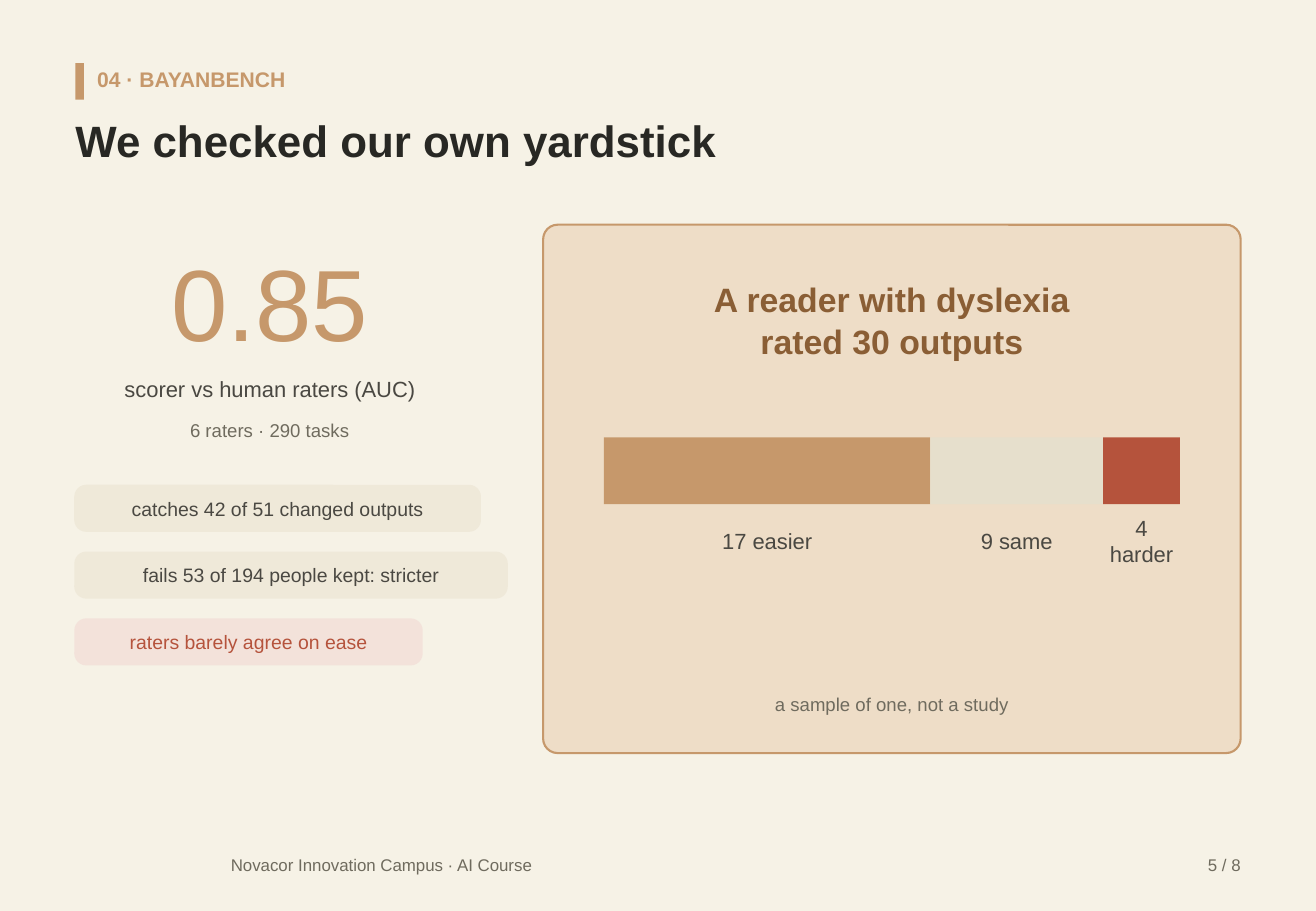
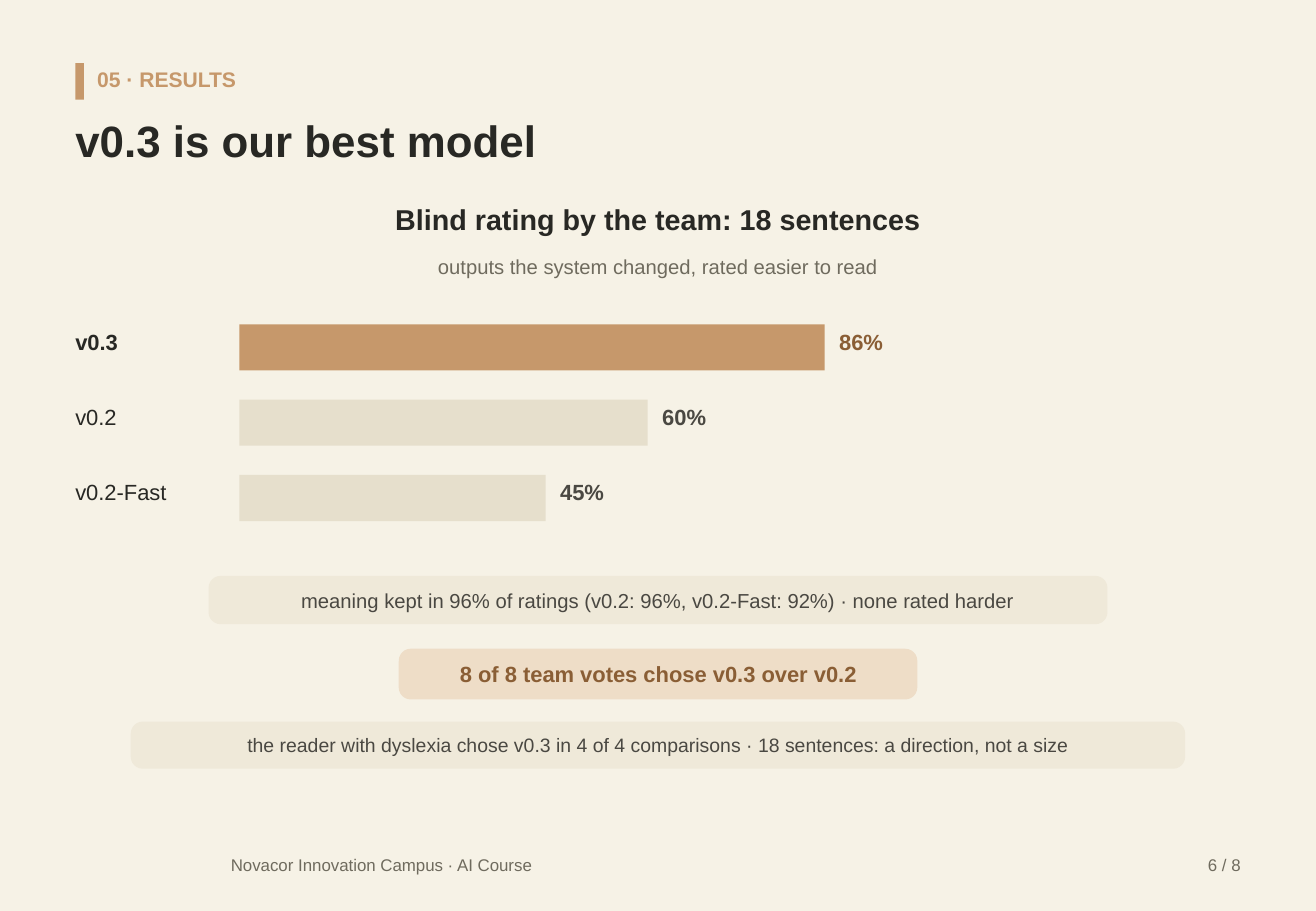
from itertools import accumulate

from pptx import Presentation
from pptx.dml.color import RGBColor
from pptx.enum.shapes import MSO_SHAPE as Shape
from pptx.enum.text import MSO_ANCHOR as Anchor, PP_ALIGN as Align
from pptx.util import Inches, Pt

SLIDE_WIDTH, SLIDE_HEIGHT = 108.3, 75
MARGIN, CONTENT_WIDTH = 6.2, 95.9
PAGE_COUNT = 8

PAPER, CREAM, SAND, STONE = "F6F2E6", "EFE9D9", "EEDDC7", "E6DFCC"
TAN, BROWN, RED, BLUSH = "C6986B", "8A5E35", "B5533C", "F3E2DA"
INK, BODY, MUTED = "282824", "4A4842", "6F6B5E"


def cells(count):
    return Inches(count / 10)


def color(value):
    return RGBColor.from_string(value)


def write(frame, text, size=13, fill=BODY, bold=False, align=Align.LEFT,
          spacing=None, inset=0):
    frame.word_wrap = True
    frame.vertical_anchor = Anchor.MIDDLE
    frame.margin_left = frame.margin_right = cells(inset)
    frame.margin_top = frame.margin_bottom = 0
    frame.text = text
    for paragraph in frame.paragraphs:
        paragraph.alignment = align
        paragraph.line_spacing = spacing
        font = paragraph.font
        font.name, font.size, font.bold = "Arial", Pt(size), bold
        font.color.rgb = color(fill)


class Deck:
    def __init__(self):
        self.presentation = Presentation()
        self.presentation.slide_width = cells(SLIDE_WIDTH)
        self.presentation.slide_height = cells(SLIDE_HEIGHT)
        self.slide = None

    def start(self, number, section, title):
        layout = self.presentation.slide_layouts[6]
        self.slide = self.presentation.slides.add_slide(layout)
        background = self.slide.background.fill
        background.solid()
        background.fore_color.rgb = color(PAPER)
        self.block(MARGIN, 5.2, 0.7, 3, TAN)
        self.text(8, 4.8, 93.9, 3.4, section, size=12.5, fill=TAN, bold=True)
        self.text(MARGIN, 8.8, CONTENT_WIDTH, 5.5, title,
                  size=26, fill=INK, bold=True)
        self.text(19, 69.8, 42, 2.8, "Novacor Innovation Campus · AI Course",
                  size=10, fill=MUTED)
        self.text(92.1, 69.8, 10, 2.8, f"{number} / {PAGE_COUNT}",
                  size=10, fill=MUTED, align=Align.RIGHT)

    def text(self, left, top, width, height, text, **style):
        box = self.slide.shapes.add_textbox(
            cells(left), cells(top), cells(width), cells(height))
        write(box.text_frame, text, **style)

    def block(self, left, top, width, height, fill, kind=Shape.RECTANGLE):
        shape = self.slide.shapes.add_shape(
            kind, cells(left), cells(top), cells(width), cells(height))
        shape.shadow.inherit = False
        shape.fill.solid()
        shape.fill.fore_color.rgb = color(fill)
        shape.line.fill.background()
        return shape

    def card(self, left, top, width, height, fill, line, radius):
        shape = self.block(left, top, width, height, fill,
                           Shape.ROUNDED_RECTANGLE)
        shape.adjustments[0] = radius / height
        shape.line.color.rgb = color(line)
        shape.line.width = Pt(1.25)
        return shape

    def pill(self, left, top, width, height, text, back=CREAM, **style):
        shape = self.card(left, top, width, height, back, back, 0.9)
        write(shape.text_frame, text, align=Align.CENTER, inset=1.2, **style)

    def stacked_bar(self, left, top, width, parts):
        scale = width / sum(value for value, _, _ in parts)
        starts = accumulate((value for value, _, _ in parts), initial=0)
        for start, (value, label, fill) in zip(starts, parts):
            place, span = left + start * scale, value * scale
            self.block(place, top, span, 5.5, fill)
            self.text(place, top + 7, span, 3, f"{value} {label}",
                      align=Align.CENTER)

    def percent_bar(self, top, label, percent, best):
        start, length = 19.7, 56 * percent / 100
        self.text(MARGIN, top, 12, 3.2, label, fill=INK, bold=best)
        self.block(start, top + 0.2, length, 3.8, TAN if best else STONE)
        self.text(start + length + 1.2, top, 8, 3.2, f"{percent}%",
                  fill=BROWN if best else BODY, bold=True)


def build_yardstick(deck):
    deck.start(5, "04 · BAYANBENCH", "We checked our own yardstick")
    for top, height, text, size, fill in (
            (20, 9.5, "0.85", 60, TAN),
            (30.5, 3, "scorer vs human raters (AUC)", 13, BODY),
            (34, 2.8, "6 raters · 290 tasks", 11, MUTED)):
        deck.text(MARGIN, top, 32, height, text, size=size, fill=fill,
                  align=Align.CENTER)
    findings = (
        (33.3, "catches 42 of 51 changed outputs", CREAM, BODY),
        (35.5, "fails 53 of 194 people kept: stricter", CREAM, BODY),
        (28.5, "raters barely agree on ease", BLUSH, RED))
    for row, (width, text, back, fill) in enumerate(findings):
        deck.pill(MARGIN, 40 + 5.5 * row, width, 3.7, text, back,
                  size=11.5, fill=fill)

    left, width = 44.7, 57.4
    deck.card(left, 18.5, width, 43.5, SAND, TAN, 1.2)
    deck.text(left + 2, 22, width - 4, 8.5,
              "A reader with dyslexia\nrated 30 outputs", size=20,
              fill=BROWN, bold=True, align=Align.CENTER, spacing=1.05)
    deck.stacked_bar(left + 5, 36, width - 10, (
        (17, "easier", TAN), (9, "same", STONE), (4, "harder", RED)))
    deck.text(left, 56.5, width, 3, "a sample of one, not a study",
              size=11, fill=MUTED, align=Align.CENTER)


def build_results(deck):
    deck.start(6, "05 · RESULTS", "v0.3 is our best model")
    deck.text(MARGIN, 16.2, CONTENT_WIDTH, 3.6,
              "Blind rating by the team: 18 sentences",
              size=17, fill=INK, bold=True, align=Align.CENTER)
    deck.text(MARGIN, 20.5, CONTENT_WIDTH, 2.8,
              "outputs the system changed, rated easier to read",
              size=12, fill=MUTED, align=Align.CENTER)
    ratings = (("v0.3", 86), ("v0.2", 60), ("v0.2-Fast", 45))
    for row, (model, percent) in enumerate(ratings):
        deck.percent_bar(26.5 + 6.2 * row, model, percent, best=row == 0)

    notes = (
        (73.8, 3.8, "meaning kept in 96% of ratings (v0.2: 96%, "
         "v0.2-Fast: 92%) · none rated harder", {"size": 12}),
        (42.5, 4, "8 of 8 team votes chose v0.3 over v0.2",
         {"back": SAND, "fill": BROWN, "bold": True}),
        (86.6, 3.7, "the reader with dyslexia chose v0.3 in 4 of 4 "
         "comparisons · 18 sentences: a direction, not a size",
         {"size": 11.5}))
    for row, (width, height, text, style) in enumerate(notes):
        deck.pill((SLIDE_WIDTH - width) / 2, 47.5 + 6 * row, width, height,
                  text, **style)


def main():
    deck = Deck()
    build_yardstick(deck)
    build_results(deck)
    deck.presentation.save("out.pptx")


if __name__ == "__main__":
    main()
